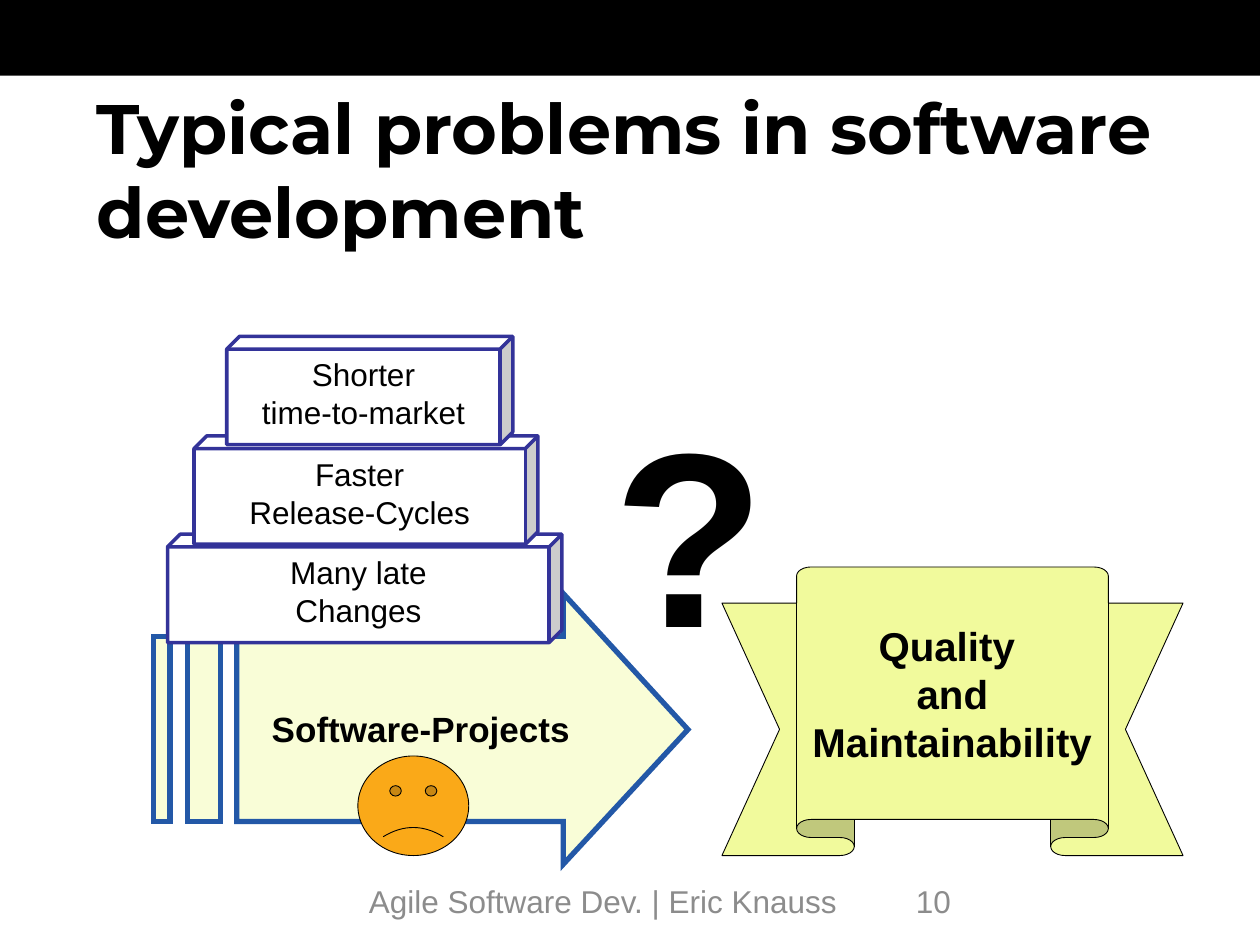
from typing import NamedTuple

from lxml.etree import SubElement
from pptx import Presentation
from pptx.dml.color import RGBColor
from pptx.enum.shapes import MSO_SHAPE as Preset
from pptx.enum.text import MSO_ANCHOR as Anchor, MSO_AUTO_SIZE as AutoSize, PP_ALIGN as Align
from pptx.oxml.ns import qn
from pptx.util import Inches, Pt

COLORS = {
    "black": "000000",
    "white": "FFFFFF",
    "cube_line": "333399",
    "arrow": "F9FDD7",
    "arrow_line": "2358A7",
    "ribbon": "F1FA9C",
    "smiley": "FAA918",
    "footer": "8C8C8C",
}


class Box(NamedTuple):
    left: float
    top: float
    width: float
    height: float


class Pressure(NamedTuple):
    text: str
    box: Box


PRESSURES = [
    Pressure("Many late\vChanges", Box(1.33, 4.24, 3.13, 0.86)),
    Pressure("Faster\nRelease-Cycles", Box(1.54, 3.46, 2.73, 0.86)),
    Pressure("Shorter\ntime-to-market", Box(1.8, 2.67, 2.27, 0.86)),
]

SHAFT_TOP, SHAFT_BOTTOM = 5.05, 6.52
ARROW_HEAD = [(4.47, 4.71), (4.47, SHAFT_TOP), (1.88, SHAFT_TOP), (1.88, SHAFT_BOTTOM),
              (4.47, SHAFT_BOTTOM), (4.47, 6.86), (5.46, 5.79)]
ARROW_BARS = [(1.49, 1.75), (1.22, 1.35)]


def rgb(name: str) -> RGBColor:
    return RGBColor.from_string(COLORS[name])


def write(shape, text: str, *, size: float, font="Arial", color="black", bold=False,
          align=Align.LEFT, anchor=Anchor.TOP, wrap=True, insets=(0.1, 0.05)) -> None:
    """Fill a shape with text; a newline starts a paragraph, a vertical tab breaks a line."""
    frame = shape.text_frame
    frame.word_wrap = wrap
    frame.vertical_anchor = anchor
    frame.margin_left = frame.margin_right = Inches(insets[0])
    frame.margin_top = frame.margin_bottom = Inches(insets[1])
    frame.text = text
    for para in frame.paragraphs:
        para.alignment = align
        for span in para.runs:
            span.font.name = font
            span.font.size = Pt(size)
            span.font.bold = bold
            span.font.color.rgb = rgb(color)


def paint(shape, fill: str, line: str | None = None, width: float = 0.5) -> None:
    shape.shadow.inherit = False
    shape.fill.solid()
    shape.fill.fore_color.rgb = rgb(fill)
    if line is None:
        shape.line.fill.background()
    else:
        shape.line.color.rgb = rgb(line)
        shape.line.width = Pt(width)


def add_preset(page, preset: Preset, box: Box, fill: str, line: str | None = None,
               width: float = 0.5, adjustments: tuple[float, ...] = ()):
    shape = page.shapes.add_shape(preset, *map(Inches, box))
    for index, value in enumerate(adjustments):
        shape.adjustments[index] = value
    paint(shape, fill, line, width)
    return shape


def add_text(page, box: Box, text: str, **text_format):
    shape = page.shapes.add_textbox(*map(Inches, box))
    write(shape, text, **text_format)
    return shape


def add_striped_arrow(page):
    """Draw the arrow and its two tail bars as one outline with sharp corners."""
    bars = [[(left, SHAFT_TOP), (left, SHAFT_BOTTOM), (right, SHAFT_BOTTOM), (right, SHAFT_TOP)]
            for left, right in ARROW_BARS]
    contours = [[(Inches(x), Inches(y)) for x, y in contour] for contour in [ARROW_HEAD, *bars]]
    builder = page.shapes.build_freeform(*contours[0][0])
    builder.add_line_segments(contours[0][1:], close=True)
    for start, *rest in contours[1:]:
        builder.move_to(*start)
        builder.add_line_segments(rest, close=True)
    arrow = builder.convert_to_shape()
    paint(arrow, "arrow", "arrow_line", 3)
    outline = arrow.line.fill._xPr
    SubElement(outline, qn("a:miter"), lim="800000")
    return arrow


def main() -> None:
    deck = Presentation()
    deck.slide_width, deck.slide_height = Inches(10), Inches(7.5)
    page = deck.slides.add_slide(deck.slide_layouts[6])

    add_preset(page, Preset.RECTANGLE, Box(0, 0, 10, 0.6), "black")
    add_text(page, Box(0.67, 0.92, 9.33, 0.83), "Typical problems in software development",
             size=40, font="Montserrat", bold=True, anchor=Anchor.MIDDLE)

    label_format = dict(bold=True, anchor=Anchor.MIDDLE, wrap=False, insets=(0.08, 0.04))
    arrow = add_striped_arrow(page)
    write(arrow, "Software-Projects", size=20, align=Align.CENTER, **label_format)
    ribbon = add_preset(page, Preset.UP_RIBBON, Box(5.73, 4.5, 3.66, 2.29), "ribbon", "black",
                        adjustments=(0.125, 0.676))
    write(ribbon, "Quality \nand\nMaintainability", size=23, align=Align.CENTER, **label_format)
    question = add_text(page, Box(4.79, 2.96, 1.38, 2.47), "?", size=142, **label_format)
    question.text_frame.auto_size = AutoSize.SHAPE_TO_FIT_TEXT
    add_preset(page, Preset.SMILEY_FACE, Box(2.84, 6, 0.88, 0.79), "smiley", "black",
               adjustments=(-0.047,))

    for pressure in PRESSURES:
        cube = add_preset(page, Preset.CUBE, pressure.box, "white", "cube_line", 2,
                          adjustments=(0.117,))
        write(cube, pressure.text, size=18, align=Align.CENTER)

    add_text(page, Box(2.83, 6.95, 4.33, 0.4), "Agile Software Dev. | Eric Knauss",
             size=18, color="footer")
    add_text(page, Box(7.17, 6.95, 2.33, 0.4), "10", size=18, color="footer")
    deck.save("out.pptx")


if __name__ == "__main__":
    main()
